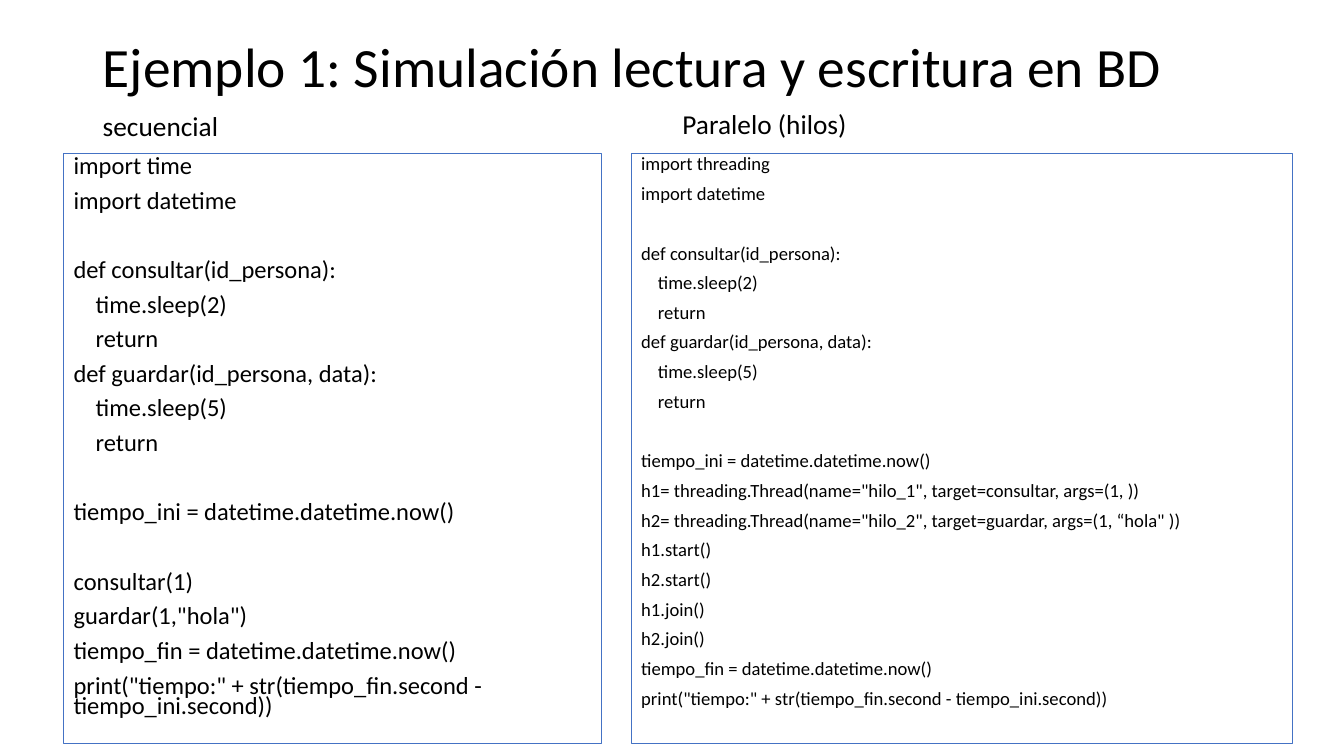
from dataclasses import dataclass

from lxml import etree
from pptx import Presentation
from pptx import util as u
from pptx.dml.color import RGBColor
from pptx.enum import text
from pptx.oxml.ns import qn

PX = 9144  # EMU in one px, 100 px to the inch
BLACK = RGBColor(0x00, 0x00, 0x00)
BLUE = RGBColor(0x44, 0x72, 0xC4)
FONT = "Calibri"
CODE_SPACING, CODE_BEFORE = 0.7, 10
LINE_HEIGHT = 1.22  # natural line height of the font, in ems
INDENT_WIDTH = 0.9  # one indent level, in ems

FUNCTIONS = """
def consultar(id_persona):
    time.sleep(2)
    return
def guardar(id_persona, data):
    time.sleep(5)
    return

tiempo_ini = datetime.datetime.now()
"""
REPORT = """tiempo_fin = datetime.datetime.now()
print("tiempo:" + str(tiempo_fin.second - tiempo_ini.second))"""

SEQUENTIAL = f"""import time
import datetime
{FUNCTIONS}
consultar(1)
guardar(1,"hola")
{REPORT}"""

PARALLEL = f"""import threading
import datetime
{FUNCTIONS}h1= threading.Thread(name="hilo_1", target=consultar, args=(1, ))
h2= threading.Thread(name="hilo_2", target=guardar, args=(1, “hola" ))
h1.start()
h2.start()
h1.join()
h2.join()
{REPORT}"""


@dataclass(frozen=True)
class Box:
    left: int
    top: int
    width: int
    height: int

    def emu(self) -> tuple[int, ...]:
        return tuple(n * PX for n in (self.left, self.top, self.width, self.height))


@dataclass(frozen=True)
class Example:
    heading: str
    heading_box: Box
    code: str
    code_box: Box
    size: float


EXAMPLES = (
    Example("secuencial", Box(92, 98, 162, 58),
            SEQUENTIAL, Box(63, 152, 533, 585), 17.5),
    Example("Paralelo (hilos)", Box(667, 96, 211, 58),
            PARALLEL, Box(626, 152, 656, 585), 13.3),
)


def place(shape, box: Box) -> None:
    shape.left, shape.top, shape.width, shape.height = box.emu()


def style(paragraph, size: float, spacing: float) -> None:
    paragraph.font.name = FONT
    paragraph.font.size = u.Pt(size)
    paragraph.font.color.rgb = BLACK
    paragraph.alignment = text.PP_ALIGN.LEFT
    paragraph.line_spacing = spacing


def write_heading(shape, words: str, size: float) -> None:
    frame = shape.text_frame
    frame.text = words
    frame.word_wrap = True
    frame.auto_size = text.MSO_AUTO_SIZE.NONE
    frame.vertical_anchor = text.MSO_ANCHOR.MIDDLE
    style(frame.paragraphs[0], size, 0.9)


def write_code(shape, code: str, size: float) -> None:
    """One paragraph per line; blank lines become spacing, indents become margins."""
    frame = shape.text_frame
    frame.word_wrap = True
    frame.auto_size = text.MSO_AUTO_SIZE.NONE
    frame.vertical_anchor = text.MSO_ANCHOR.TOP
    blank_line = size * LINE_HEIGHT * CODE_SPACING + CODE_BEFORE
    paragraph, before = frame.paragraphs[0], CODE_BEFORE
    for line in code.splitlines():
        words = line.lstrip()
        if not words:
            before += blank_line
            continue
        if paragraph.text:
            paragraph = frame.add_paragraph()
        paragraph.text = words
        style(paragraph, size, CODE_SPACING)
        paragraph.space_before = u.Pt(round(before, 1))
        level = (len(line) - len(words)) // 4
        properties = paragraph._p.get_or_add_pPr()
        properties.set("marL", str(u.Pt(level * INDENT_WIDTH * size)))
        properties.set("indent", "0")
        etree.SubElement(properties, qn("a:buNone"))
        # Bullet settings come before the default run properties
        run_defaults = properties.find(qn("a:defRPr"))
        if run_defaults is not None:
            properties.append(run_defaults)
        before = CODE_BEFORE


def main() -> None:
    deck = Presentation()
    deck.slide_width, deck.slide_height = 1333 * PX, 750 * PX
    slide = deck.slides.add_slide(deck.slide_layouts.get_by_name("Two Content"))

    # Title
    title, *code_areas = [p for p in slide.placeholders]
    place(title, Box(92, 40, 1150, 58))
    write_heading(title, "Ejemplo 1: Simulación lectura y escritura en BD", 39.6)

    # Code listings side by side
    for example, area in zip(EXAMPLES, code_areas):
        place(area, example.code_box)
        area.line.color.rgb = BLUE
        area.line.width = u.Pt(0.25)
        write_code(area, example.code, example.size)

    # Headings above the listings
    for example in EXAMPLES:
        heading = slide.shapes.add_textbox(*example.heading_box.emu())
        write_heading(heading, example.heading, 19.5)

    deck.save("out.pptx")


if __name__ == "__main__":
    main()
